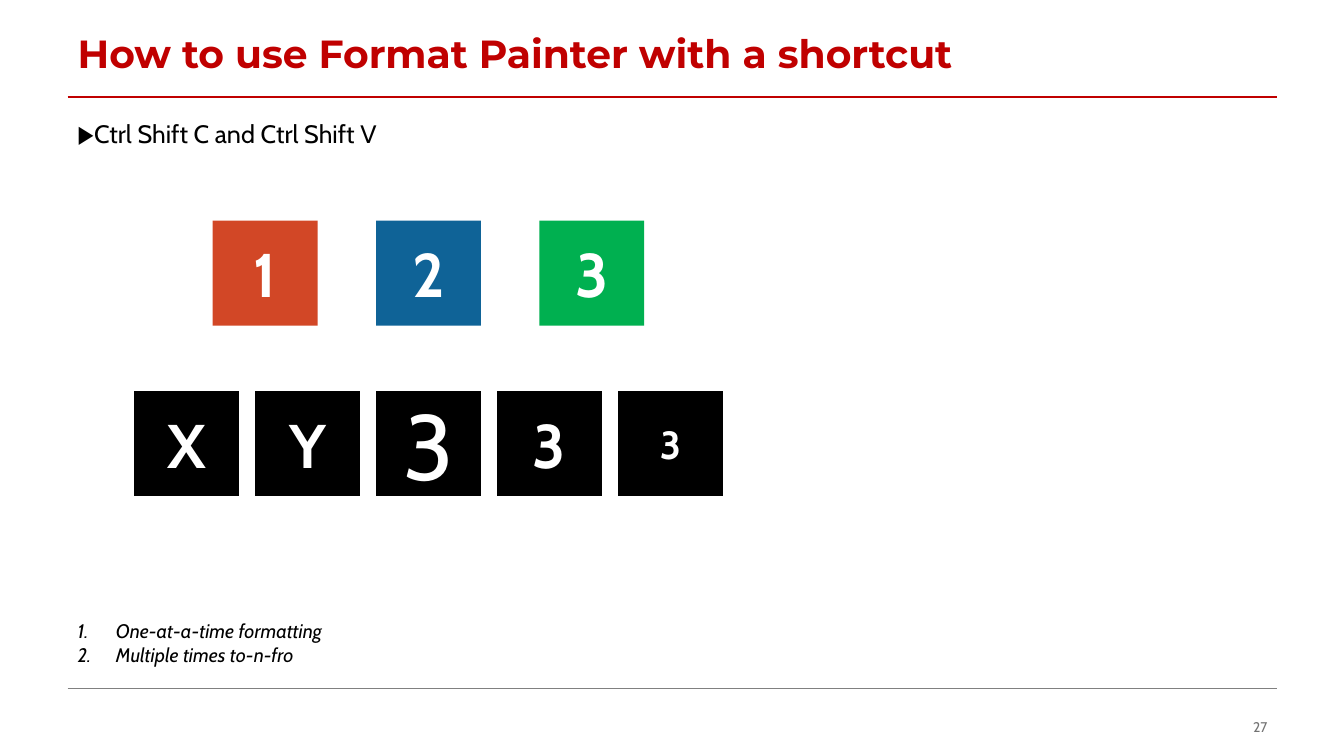
from dataclasses import dataclass

from lxml import etree
from pptx import Presentation
from pptx.dml.color import RGBColor
from pptx.enum.shapes import MSO_CONNECTOR, MSO_SHAPE
from pptx.enum.text import MSO_ANCHOR, MSO_AUTO_SIZE, PP_ALIGN
from pptx.oxml.ns import qn
from pptx.util import Emu, Pt

PX = 9144  # 100 px to the inch
LEFT, CENTER, RIGHT = PP_ALIGN.LEFT, PP_ALIGN.CENTER, PP_ALIGN.RIGHT
TOP, MIDDLE = MSO_ANCHOR.TOP, MSO_ANCHOR.MIDDLE
NO_FIT, GROW = MSO_AUTO_SIZE.NONE, MSO_AUTO_SIZE.SHAPE_TO_FIT_TEXT
RECTANGLE, STRAIGHT = MSO_SHAPE.RECTANGLE, MSO_CONNECTOR.STRAIGHT

BODY_FONT, TITLE_FONT = "Cabin", "Montserrat"
COLORS = {
    "red": "C00000", "rule": "808080", "number": "737373",
    "black": "000000", "white": "FFFFFF",
    "orange": "D24726", "blue": "0F6397", "green": "00B050",
}
MARGIN, CONTENT_WIDTH = 67, 1200
TILE_SIZE, TILE_AXIS = 104, 373  # the axis is the left edge of the middle tile
LIST_INDENT = 38


@dataclass
class Tile:
    text: str
    fill: str = "black"
    size: int = 44
    bold: bool = True


@dataclass
class TileRow:
    top: int
    step: int
    tiles: list[Tile]


@dataclass
class Rule:
    top: int
    color: str
    weight: float


RULES = [Rule(96, "red", 1.5), Rule(683, "rule", 0.25)]
ROWS = [
    TileRow(219, 162, [Tile("1", "orange"), Tile("2", "blue"), Tile("3", "green")]),
    TileRow(388, 120, [Tile("X"), Tile("Y"), Tile("3", size=66, bold=False),
                       Tile("3"), Tile("3", size=28)]),
]


def px(length: int) -> Emu:
    return Emu(length * PX)


def rgb(name: str) -> RGBColor:
    return RGBColor.from_string(COLORS[name])


def place(shape, left: int, top: int, width: int, height: int) -> None:
    shape.left, shape.top = px(left), px(top)
    shape.width, shape.height = px(width), px(height)


def write(shape, text: str, *, size: int, color: str = "black",
          font: str = BODY_FONT, bold: bool = False, italic: bool = False,
          align=LEFT, anchor=TOP, fit=NO_FIT, spacing: float = 1.0,
          numbered: bool = False) -> None:
    frame = shape.text_frame
    frame.text = text
    frame.word_wrap = True
    frame.auto_size = fit
    frame.vertical_anchor = anchor
    for para in frame.paragraphs:
        para.alignment = align
        para.line_spacing = spacing
        para.space_before = Pt(0)
        if numbered:
            properties = para._p.get_or_add_pPr()
            properties.set("marL", str(px(LIST_INDENT)))
            properties.set("indent", str(px(-LIST_INDENT)))
            etree.SubElement(properties, qn("a:buFont"), typeface="+mj-lt")
            etree.SubElement(properties, qn("a:buAutoNum"), type="arabicPeriod")
        for span in para.runs:
            span.font.name = font
            span.font.size = Pt(size)
            span.font.bold = bold
            span.font.italic = italic
            span.font.color.rgb = rgb(color)


def add_text(page, left: int, top: int, width: int, height: int,
             text: str, **style) -> None:
    box = page.shapes.add_textbox(px(left), px(top), px(width), px(height))
    write(box, text, **style)


def add_rule(page, rule: Rule) -> None:
    line = page.shapes.add_connector(STRAIGHT, px(MARGIN), px(rule.top),
                                     px(MARGIN + CONTENT_WIDTH), px(rule.top))
    line.line.color.rgb = rgb(rule.color)
    line.line.width = Pt(rule.weight)
    etree.SubElement(line._element.spPr, qn("a:effectLst"))


def add_row(page, row: TileRow) -> None:
    middle = len(row.tiles) // 2
    for index, tile in enumerate(row.tiles):
        left = TILE_AXIS + (index - middle) * row.step
        square = page.shapes.add_shape(RECTANGLE, px(left), px(row.top),
                                       px(TILE_SIZE), px(TILE_SIZE))
        square.shadow.inherit = False
        square.fill.solid()
        square.fill.fore_color.rgb = rgb(tile.fill)
        square.line.fill.background()
        write(square, tile.text, size=tile.size, color="white", bold=tile.bold,
              align=CENTER, anchor=MIDDLE)


def main() -> None:
    deck = Presentation()
    deck.slide_width, deck.slide_height = px(1333), px(750)
    page = deck.slides.add_slide(deck.slide_layouts[1])

    # Title and rules
    title = page.shapes.title
    place(title, MARGIN, 22, CONTENT_WIDTH, 67)
    write(title, "How to use Format Painter with a shortcut", size=28, color="red",
          font=TITLE_FONT, bold=True, anchor=MIDDLE, spacing=0.9)
    for rule in RULES:
        add_rule(page, rule)

    # Shortcut and tiles
    add_text(page, MARGIN, 112, 934, 40, "▶Ctrl Shift C and Ctrl Shift V",
             size=18, fit=GROW)
    for row in ROWS:
        add_row(page, row)

    # Numbered list
    steps = page.placeholders[1]
    place(steps, MARGIN, 609, 364, 57)
    write(steps, "One-at-a-time formatting\nMultiple times to-n-fro",
          size=14, italic=True, fit=GROW, numbered=True)

    # Page number
    add_text(page, 967, 708, 300, 27, "27", size=10, color="number",
             align=RIGHT, anchor=MIDDLE)

    deck.save("out.pptx")


if __name__ == "__main__":
    main()
